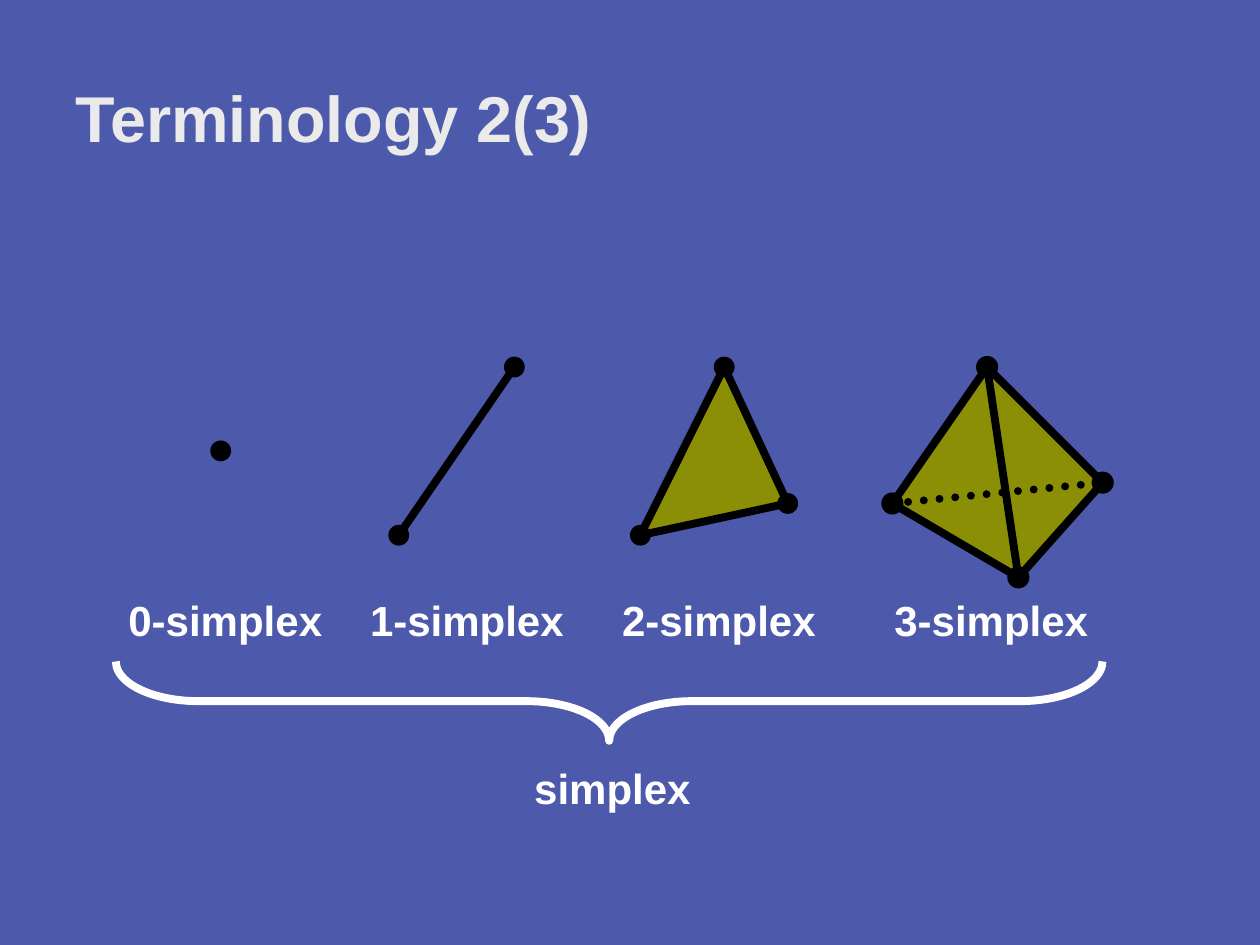
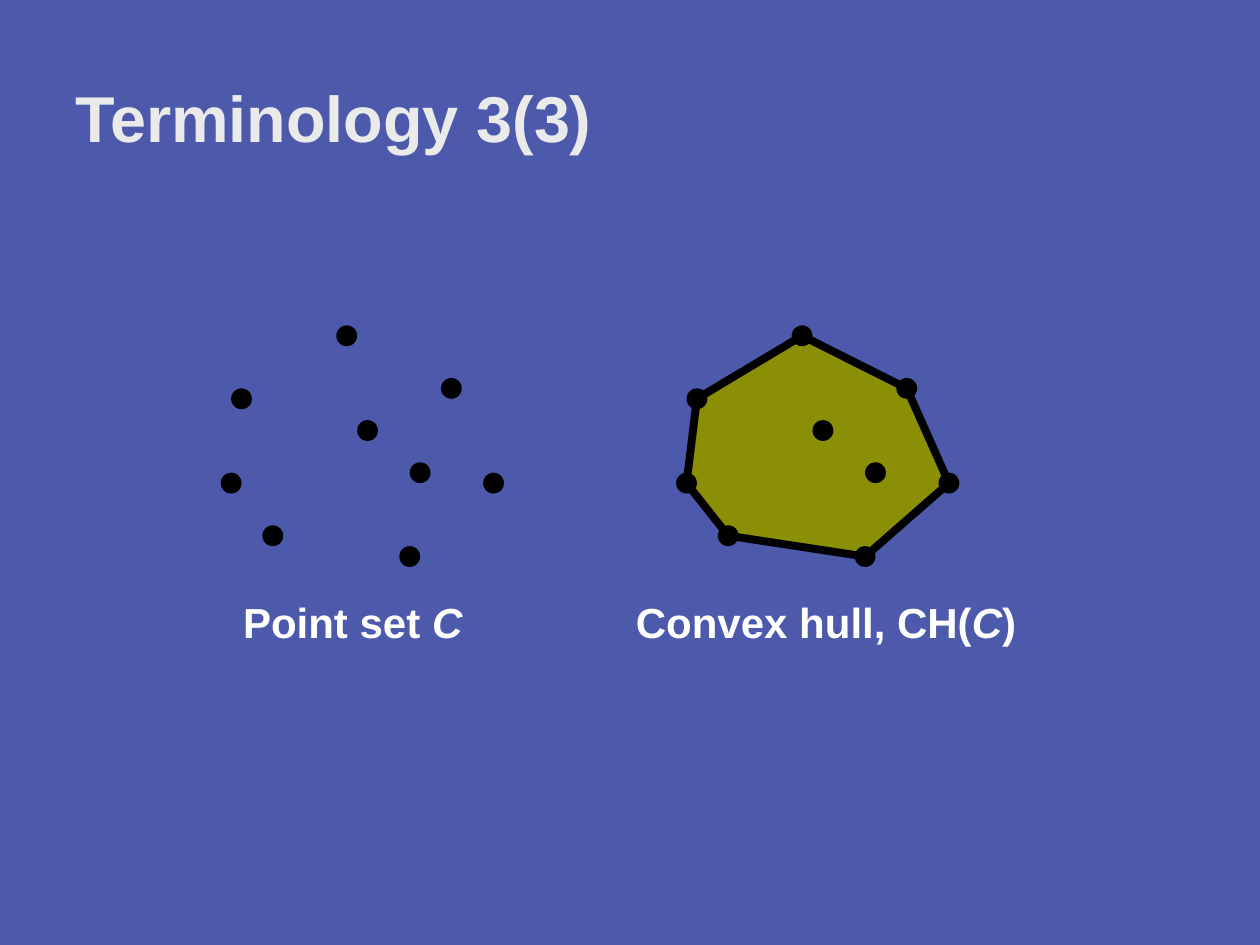
from lxml import etree
from pptx import Presentation
from pptx.dml.color import RGBColor
from pptx.enum.dml import MSO_LINE
from pptx.enum.shapes import MSO_CONNECTOR, MSO_SHAPE
from pptx.enum.text import MSO_ANCHOR, MSO_AUTO_SIZE, PP_ALIGN
from pptx.oxml import parse_xml
from pptx.oxml.ns import nsdecls, qn
from pptx.util import Cm, Pt

OVAL, BRACE = MSO_SHAPE.OVAL, MSO_SHAPE.RIGHT_BRACE
STRAIGHT = MSO_CONNECTOR.STRAIGHT
DOTTED = MSO_LINE.ROUND_DOT
LEFT, MIDDLE = PP_ALIGN.LEFT, MSO_ANCHOR.MIDDLE
NO_FIT = MSO_AUTO_SIZE.NONE

BLUE = RGBColor(0x4D, 0x59, 0xAB)
OLIVE = RGBColor(0x8A, 0x8F, 0x05)
PALE = RGBColor(0xEA, 0xEA, 0xEA)
WHITE = RGBColor(0xFF, 0xFF, 0xFF)
BLACK = RGBColor(0, 0, 0)
FONT = "Arial"
THICK = Pt(4.5)
DOT = 0.42  # diameter in cm

TITLE_SHADOW = (
    f'<a:effectLst {nsdecls("a")}><a:outerShdw dist="38100" dir="2700000">'
    '<a:srgbClr val="000000"/></a:outerShdw></a:effectLst>'
)

# Points are (x, y) centres in cm
vertex = (4.45, 9.09)
edge = [(8.04, 10.79), (10.37, 7.4)]
triangle = [(12.91, 10.79), (14.6, 7.4), (15.88, 10.15)]
tetrahedron = [(17.99, 10.15), (19.9, 7.4), (22.23, 9.73), (20.53, 11.64)]

outer = [(6.99, 6.77), (9.1, 7.83), (9.95, 9.74), (8.26, 11.22),
         (5.5, 10.8), (4.66, 9.74), (4.87, 8.04)]
inner = [(7.41, 8.68), (8.47, 9.53)]
HULL_SHIFT = 9.18
hull = [(x + HULL_SHIFT, y) for x, y in outer]
hull_inner = [(x + HULL_SHIFT, y) for x, y in inner]


def style_run(r, size, color):
    r.font.name = FONT
    r.font.size = Pt(size)
    r.font.bold = True
    r.font.color.rgb = color


prs = Presentation()
prs.slide_width, prs.slide_height = Cm(25.4), Cm(19.05)
bg = prs.slide_master.background.fill
bg.solid()
bg.fore_color.rgb = BLUE

# Slides and titles
slides = []
for title in ("Terminology 2(3)", "Terminology 3(3)"):
    s = prs.slides.add_slide(prs.slide_layouts[5])
    slides.append(s)
    sp = s.shapes.title
    sp.left, sp.top, sp.width, sp.height = Cm(1.27), Cm(0.76), Cm(17.78), Cm(3.18)
    tf = sp.text_frame
    tf.vertical_anchor = MIDDLE
    tf.auto_size = NO_FIT
    p = tf.paragraphs[0]
    p.alignment = LEFT
    r = p.add_run()
    r.text = title
    style_run(r, 37, PALE)
    r.font.fill._xPr.find(qn("a:solidFill")).addnext(parse_xml(TITLE_SHADOW))
simplex_slide, hull_slide = slides

# Filled polygons
for s, corners in ((simplex_slide, tetrahedron), (simplex_slide, triangle),
                   (hull_slide, hull)):
    points = [(Cm(x), Cm(y)) for x, y in corners]
    builder = s.shapes.build_freeform(*points[0])
    builder.add_line_segments(points[1:], close=True)
    sp = builder.convert_to_shape()
    sp.shadow.inherit = False
    sp.fill.solid()
    sp.fill.fore_color.rgb = OLIVE
    sp.line.color.rgb = BLACK
    sp.line.width = THICK

# Dots
for s, centres, outlined in (
    (simplex_slide, tetrahedron, True),
    (simplex_slide, [vertex] + edge + triangle, False),
    (hull_slide, outer + inner + hull + hull_inner, False),
):
    for x, y in centres:
        sp = s.shapes.add_shape(OVAL, Cm(x - DOT / 2), Cm(y - DOT / 2), Cm(DOT), Cm(DOT))
        sp.shadow.inherit = False
        sp.fill.solid()
        sp.fill.fore_color.rgb = BLACK
        if outlined:
            sp.line.color.rgb = BLACK
            sp.line.width = Pt(0.75)
        else:
            sp.line.fill.background()

# Single edges; the hidden tetrahedron edge is dotted
for start, end, hidden in (
    (tetrahedron[0], tetrahedron[2], True),
    (tetrahedron[1], tetrahedron[3], False),
    (*edge, False),
):
    line = simplex_slide.shapes.add_connector(
        STRAIGHT, *(Cm(v) for v in start + end))
    line.line.color.rgb = BLACK
    line.line.width = THICK
    if hidden:
        line.line.dash_style = DOTTED
        line.line._get_or_add_ln().set("cap", "rnd")
    etree.SubElement(line._element.spPr, qn("a:effectLst"))

# Brace under the four simplices
sp = simplex_slide.shapes.add_shape(BRACE, Cm(11.48), Cm(4.19), Cm(1.6), Cm(19.89))
sp.rotation = 90
sp.adjustments[0] = 1.04
sp.shadow.inherit = False
sp.fill.background()
sp.line.color.rgb = WHITE
sp.line.width = THICK

# Labels: slide, left, top, width, runs (text, italic)
labels = [
    (simplex_slide, left, 11.86, 4.42, [(f"{n}-simplex", False)])
    for n, left in enumerate((2.34, 7.21, 12.29, 17.78))
]
labels += [
    (simplex_slide, 10.52, 15.24, 3.66, [("simplex", False)]),
    (hull_slide, 4.65, 11.91, 4.93, [("Point set ", False), ("C", True)]),
    (hull_slide, 12.57, 11.91, 8.18,
     [("Convex hull, CH(", False), ("C", True), (")", False)]),
]
for s, left, top, width, runs in labels:
    tf = s.shapes.add_textbox(Cm(left), Cm(top), Cm(width), Cm(1.27)).text_frame
    tf.word_wrap = False
    p = tf.paragraphs[0]
    for text, italic in runs:
        r = p.add_run()
        r.text = text
        style_run(r, 24, WHITE)
        r.font.italic = italic

prs.save("out.pptx")
